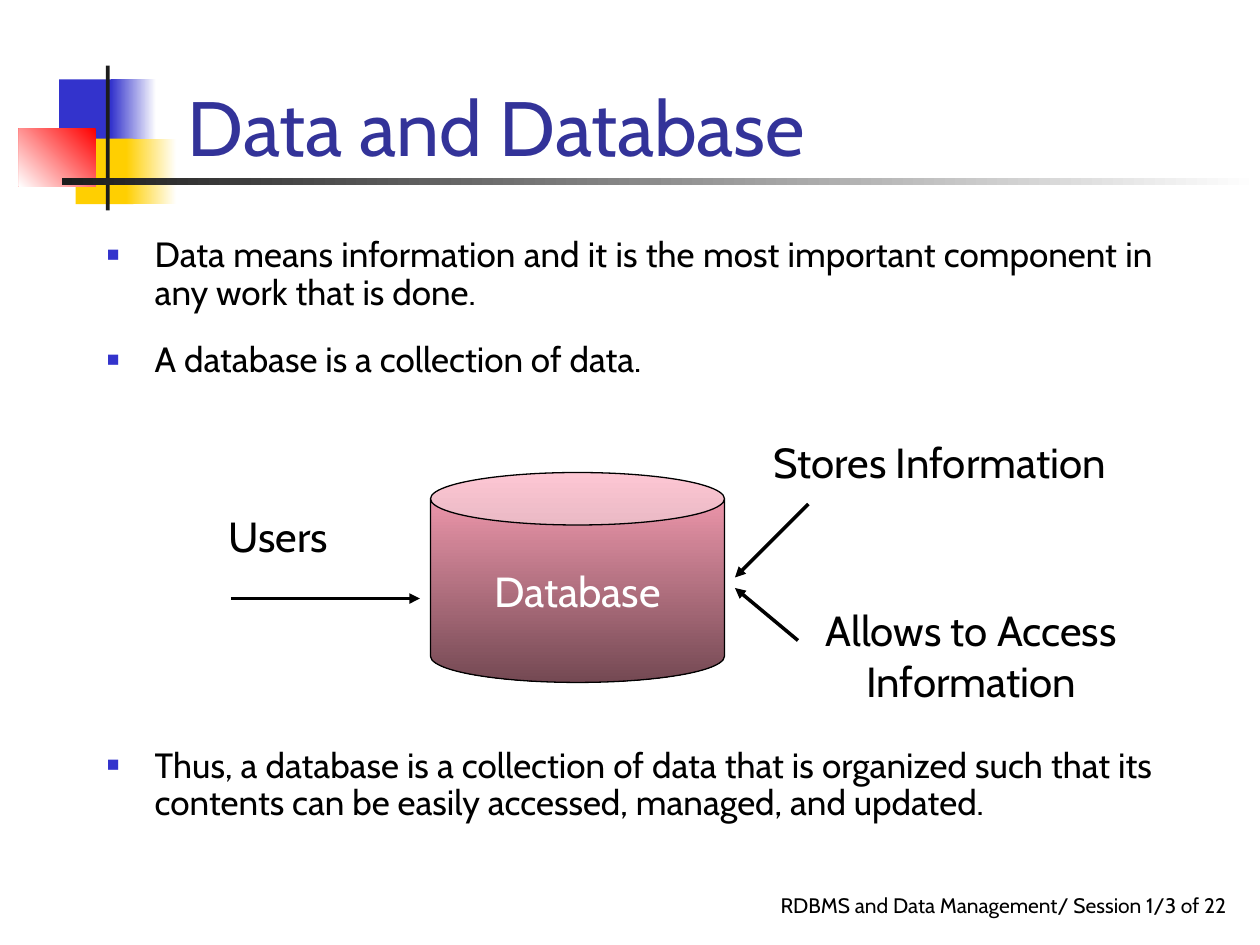
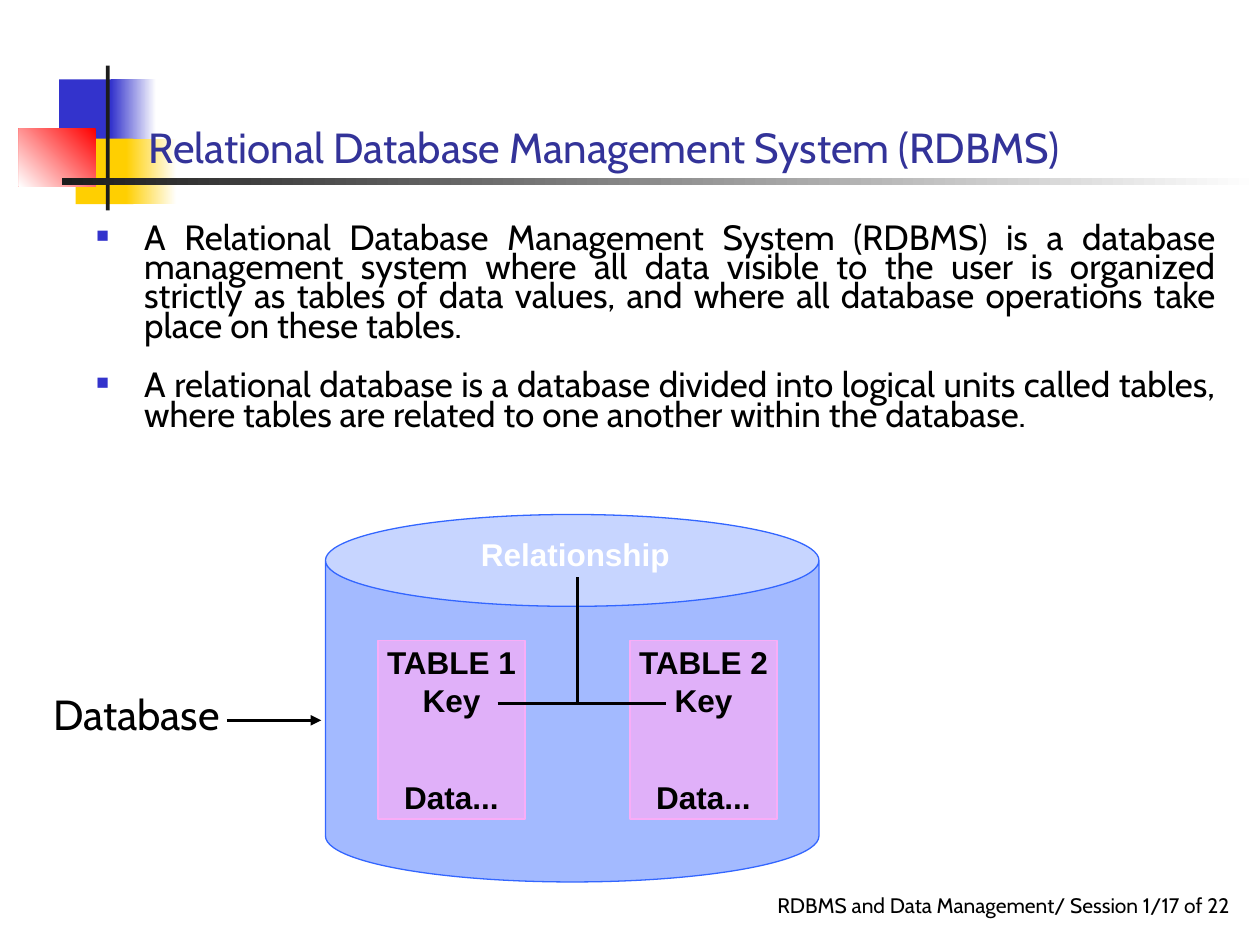
from dataclasses import dataclass

from lxml.etree import SubElement
from pptx import Presentation
from pptx.dml.color import RGBColor
from pptx.enum.shapes import MSO_CONNECTOR as Connector, MSO_SHAPE as Preset
from pptx.enum.text import MSO_ANCHOR as Anchor, PP_ALIGN as Align
from pptx.oxml.ns import qn
from pptx.util import Inches, Pt

CELL = Inches(1) / 12
COLUMNS, ROWS = 120, 90
BLACK, WHITE, CHARCOAL = "000000", "FFFFFF", "1C1C1C"
INDIGO, BLUE, YELLOW, RED = "333399", "3333CC", "FFCF01", "FF0000"
ROSE, MAROON, SKY, PINK = "FCA0B6", "744953", "3366FF", "F9ADF7"
TEXT_FONT, TABLE_FONT = "Cabin", "Arial"
LABEL_HEIGHT = 10.8


@dataclass
class Box:
    """A rectangle measured in grid columns and rows."""
    left: float
    top: float
    width: float
    height: float

    def inside(self, left, top, width, height):
        """Return a box placed relative to this one."""
        return Box(self.left + left, self.top + top, width, height)

    def point(self, column, row):
        """Return the slide position of a point relative to this box."""
        return round((self.left + column) * CELL), round((self.top + row) * CELL)

    def frame(self):
        """Return left, top, width and height as slide lengths."""
        return [round(value * CELL) for value in (self.left, self.top, self.width, self.height)]


def color(value):
    """Turn a hex string into a colour."""
    return RGBColor.from_string(value)


def add_bullet(paragraph):
    """Give a paragraph a small square bullet with a hanging indent."""
    properties = paragraph._p.get_or_add_pPr()
    indent = Inches(0.38)
    properties.set("marL", str(indent))
    properties.set("indent", str(-indent))
    tint = SubElement(properties, qn("a:buClr"))
    SubElement(tint, qn("a:srgbClr"), val=BLUE)
    SubElement(properties, qn("a:buSzPct"), val="60000")
    SubElement(properties, qn("a:buFont"), typeface=TABLE_FONT)
    SubElement(properties, qn("a:buChar"), char="■")


def write(shape, *texts, size=24, font=TEXT_FONT, ink=BLACK, bold=False, align=Align.CENTER,
          anchor=Anchor.TOP, wrap=True, gaps=(), line_spacing=None, bullets=False):
    """Fill a shape with paragraphs; gaps are the spaces before all but the first."""
    frame = shape.text_frame
    frame.word_wrap = wrap
    frame.vertical_anchor = anchor
    for index, text in enumerate(texts):
        paragraph = frame.add_paragraph() if index else frame.paragraphs[0]
        paragraph.text = text
        paragraph.alignment = align
        if bullets:
            add_bullet(paragraph)
        if line_spacing:
            paragraph.line_spacing = line_spacing
        if index and gaps:
            paragraph.space_before = Pt(gaps[index - 1])
        style = paragraph.font
        style.size, style.name, style.bold = Pt(size), font, bold
        style.color.rgb = color(ink)
    return shape


def add_text(slide, box, *texts, **format):
    """Add a text box."""
    return write(slide.shapes.add_textbox(*box.frame()), *texts, **format)


def add_preset(slide, box, fill, preset=Preset.RECTANGLE, angle=0, line=None, opacity=None):
    """Add a preset shape; a pair of fills makes a gradient turned clockwise by angle."""
    shape = slide.shapes.add_shape(preset, *box.frame())
    shape.shadow.inherit = False
    if isinstance(fill, tuple):
        shape.fill.gradient()
        shape.fill.gradient_angle = -angle % 360
        for stop, value in zip(shape.fill.gradient_stops, fill):
            stop.color.rgb = color(value)
    else:
        shape.fill.solid()
        shape.fill.fore_color.rgb = color(fill)
    if opacity:
        tint = shape._element.spPr.find(qn("a:solidFill")).find(qn("a:srgbClr"))
        SubElement(tint, qn("a:alpha"), val=str(opacity * 1000))
    if line:
        shape.line.color.rgb = color(line)
        shape.line.width = Pt(0.75)
    else:
        shape.line.fill.background()
    return shape


def add_line(slide, box, start, end, arrow=False):
    """Draw a straight black line between two points of a box."""
    connector = slide.shapes.add_connector(
        Connector.STRAIGHT, *box.point(*start), *box.point(*end))
    connector.line.color.rgb = color(BLACK)
    connector.line.width = Pt(2)
    if arrow:
        SubElement(connector.line._get_or_add_ln(), qn("a:tailEnd"), type="triangle")
    SubElement(connector._element.spPr, qn("a:effectLst"))


def add_emblem(slide, box):
    """Draw the coloured squares and the crossing rules beside the title."""
    for place, fill, angle in (
        ((3.84, 1.32, 5.76, 6.24), BLUE, 0),
        ((8.76, 1.32, 4.32, 6.24), (BLUE, WHITE), 0),
        ((5.4, 6.96, 5.52, 6.24), YELLOW, 0),
        ((10.2, 6.96, 4.8, 6.24), (YELLOW, WHITE), 0),
        ((0, 6, 7.32, 5.52), (RED, WHITE), 135),
        ((8.28, 0, 0.36, box.height), CHARCOAL, 0),
        ((4.08, 10.68, box.width - 4.08, 0.72), (CHARCOAL, WHITE), 0),
    ):
        add_preset(slide, box.inside(*place), fill, angle=angle)


def add_base_slide(presentation, title, title_left, title_size, page):
    """Add a slide with the emblem, title and footer that all slides share."""
    slide = presentation.slides.add_slide(presentation.slide_layouts[6])
    footer = add_text(slide, Box(71, 84.4, 48, 6.4),
                      f"RDBMS and Data Management/ Session 1/{page} of 22", size=12)
    footer.text_frame.margin_right = 0
    add_emblem(slide, Box(1.8, 6.24, 118.2, 13.8))
    add_text(slide, Box(title_left, 2, 119 - title_left, 15), title, size=title_size,
             ink=INDIGO, align=Align.LEFT, anchor=Anchor.BOTTOM)
    return slide


def add_body(slide, box, *texts, gaps, line_spacing):
    """Add the justified bullet list."""
    add_text(slide, box, *texts, size=20, align=Align.JUSTIFY, gaps=gaps,
             line_spacing=line_spacing, bullets=True)


def add_access_diagram(slide, box):
    """Draw the database with its users and its two purposes."""
    cylinder = add_preset(slide, box.inside(21, 4, 28, 20), (ROSE, MAROON), Preset.CAN,
                          angle=90, line=BLACK)
    write(cylinder, "Database", ink=WHITE, anchor=Anchor.MIDDLE, wrap=False)
    for left, top, width, label in (
        (0, 7, 13, "Users"),
        (53, 16, 39, "Allows to Access Information"),
        (52, 0, 35, "Stores Information"),
    ):
        add_text(slide, box.inside(left, top, width, LABEL_HEIGHT), label)
    for start, end in (((57, 7), (50, 14)), ((56, 20), (50, 15)), ((2, 16), (20, 16))):
        add_line(slide, box, start, end, arrow=True)


def add_table_card(slide, box, number):
    """Draw one table of the relational database."""
    card = add_preset(slide, box, PINK, line=PINK, opacity=71)
    write(card, f"TABLE {number}", "Key", "Data...", size=18, font=TABLE_FONT, bold=True,
          anchor=Anchor.MIDDLE, wrap=False, gaps=(0, 34))


def add_relation_diagram(slide, box):
    """Draw the database holding two tables joined by their keys."""
    add_preset(slide, box.inside(28, 0, 47, 35), SKY, Preset.CAN, line=SKY, opacity=45)
    for index in range(2):
        add_table_card(slide, box.inside(33 + 24 * index, 12, 14, 17), index + 1)
    add_text(slide, box.inside(40.3, 1.4, 23, 4.8), "Relationship", size=18,
             font=TABLE_FONT, ink=WHITE, bold=True)
    add_line(slide, box, (44.4, 18), (60.4, 18))
    add_line(slide, box, (52, 18), (52, 6))
    add_text(slide, box.inside(0, 16, 20, LABEL_HEIGHT), "Database")
    add_line(slide, box, (18.6, 19.6), (27.6, 19.6), arrow=True)


def build_database_slide(presentation):
    """Build the slide that defines data and database."""
    slide = add_base_slide(presentation, "Data and Database", 16.7, 44, 3)
    add_body(
        slide, Box(9, 22, 102, 61),
        "Data means information and it is the most important component in any work that is done.",
        "A database is a collection of data.",
        "Thus, a database is a collection of data that is organized such that its contents "
        "can be easily accessed, managed, and updated.",
        gaps=(17, 210), line_spacing=0.9)
    add_access_diagram(slide, Box(20, 41, 92, 27))


def build_relational_slide(presentation):
    """Build the slide that defines a relational database system."""
    slide = add_base_slide(
        presentation, "Relational Database Management System (RDBMS)", 13, 24, 17)
    add_body(
        slide, Box(8, 21, 109, 25),
        "A Relational Database Management System (RDBMS) is a database management system "
        "where all data visible to the user is organized strictly as tables of data values, "
        "and where all database operations take place on these tables.",
        "A relational database is a database divided into logical units called tables, "
        "where tables are related to one another within the database.",
        gaps=(17,), line_spacing=0.7)
    add_relation_diagram(slide, Box(3, 49, 75, 35))


def main():
    """Build and save the presentation."""
    presentation = Presentation()
    presentation.slide_width = round(COLUMNS * CELL)
    presentation.slide_height = round(ROWS * CELL)
    build_database_slide(presentation)
    build_relational_slide(presentation)
    presentation.save("out.pptx")


if __name__ == "__main__":
    main()
